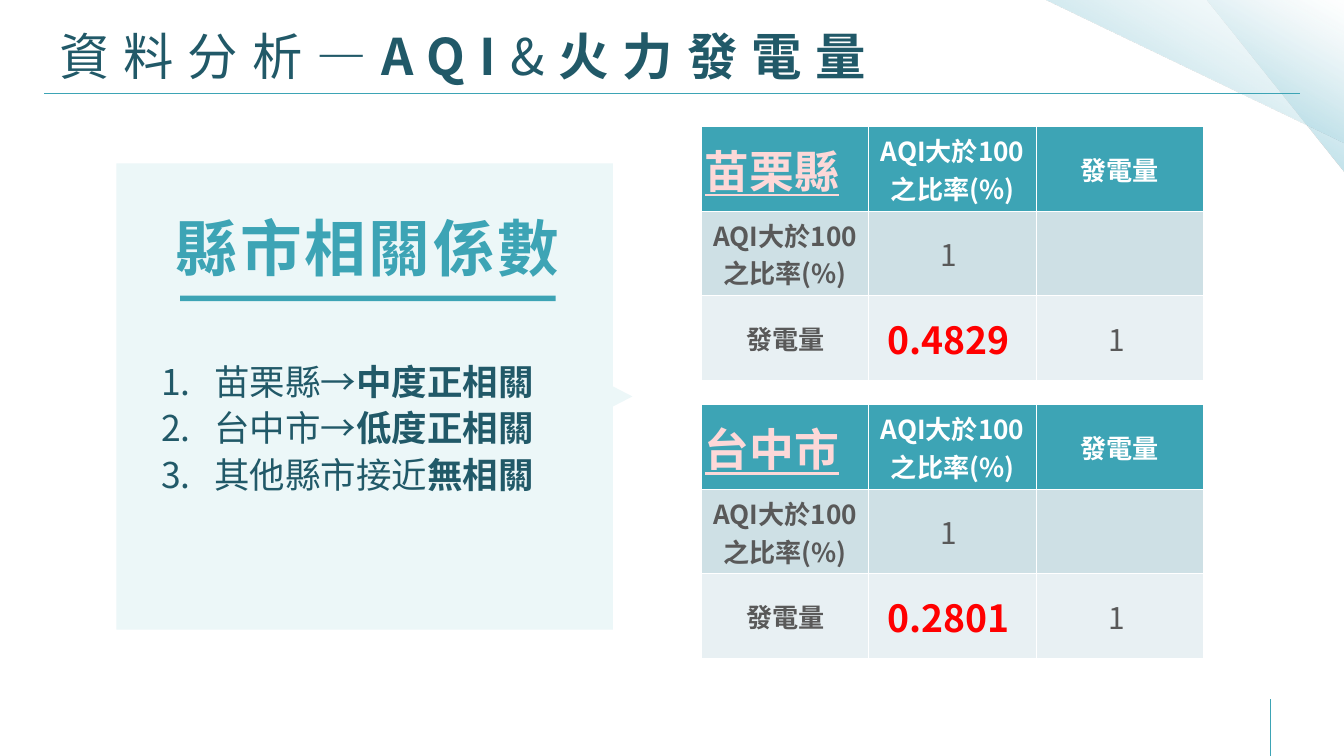
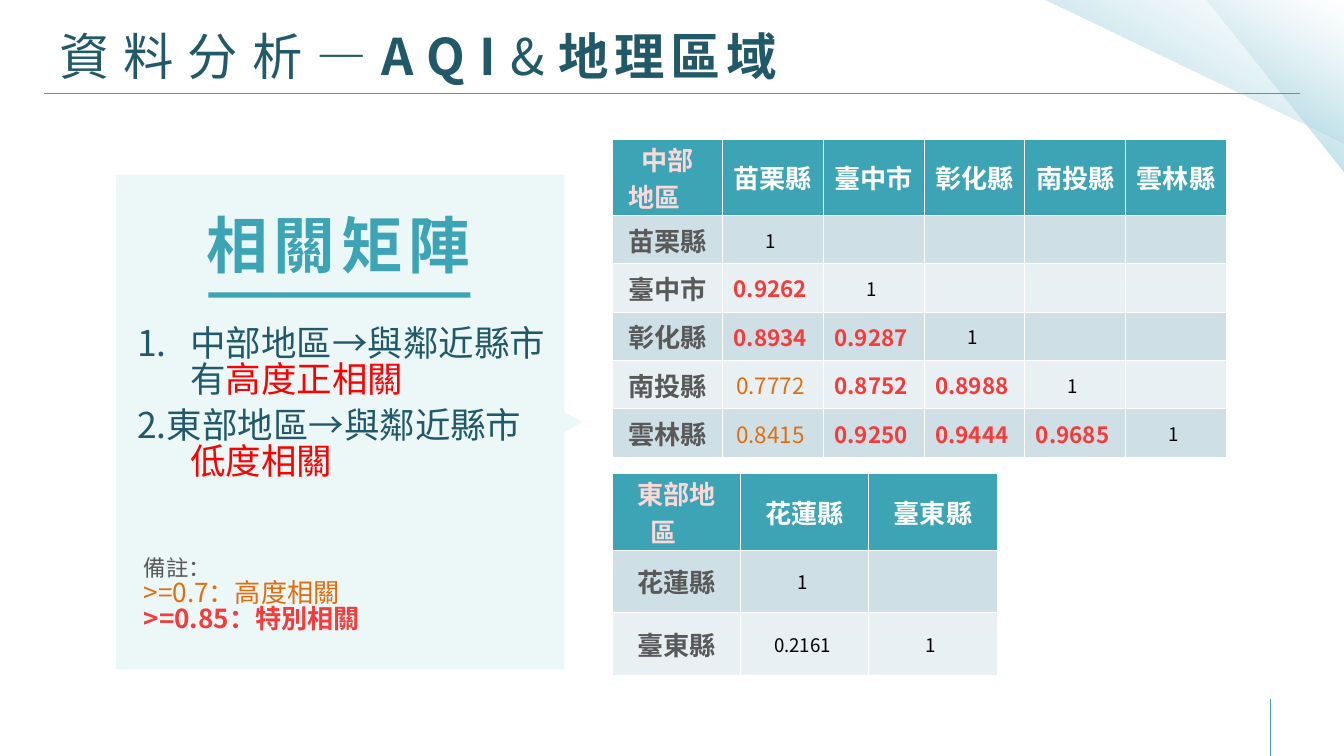
from lxml.etree import SubElement
from pptx import Presentation
from pptx.dml.color import RGBColor
from pptx.enum.shapes import MSO_CONNECTOR, MSO_SHAPE
from pptx.enum.text import MSO_ANCHOR, MSO_AUTO_SIZE, PP_ALIGN
from pptx.oxml import parse_xml
from pptx.oxml.ns import nsdecls, qn
from pptx.util import Inches, Pt

FONT = "Noto Sans CJK SC"
TEAL, NAVY, GREY, PINK = "3DA4B5", "215968", "595959", "FDD8D8"
RED, CORAL, ORANGE, BLACK, WHITE = "FF0000", "F73B3B", "E46C0A", "000000", "FFFFFF"
BANDS = ["E8F0F3", "CEE0E5"]
BOLD = {"bold": True}


def paint(fmt, color, alpha=None):
    """Give a fill, or the fill of a line or font, one solid colour."""
    fmt.solid()
    fmt.fore_color.rgb = RGBColor.from_string(color)
    if alpha is not None:
        clr = fmt._xPr.find(qn("a:solidFill"))[0]
        SubElement(clr, qn("a:alpha")).set("val", str(alpha * 1000))


def write(p, runs, **base):
    """Add (text, format) runs to a paragraph; base holds the shared format."""
    for text, own in runs:
        fmt = {"bold": False, "name": FONT, **base, **own}
        r = p.add_run()
        r.text = text
        paint(r.font.fill, fmt.pop("color"))
        rPr = r._r.get_or_add_rPr()
        SubElement(rPr, qn("a:ea")).set("typeface", FONT)
        rPr.set("spc", str(fmt.pop("spc", 0) * 100))
        fmt["size"] = Pt(fmt["size"])
        for name, value in fmt.items():
            setattr(r.font, name, value)
        # the Latin typeface must come before the East Asian one
        rPr.append(rPr.find(qn("a:ea")))


AQI = "AQI大於100之比率(%)"
COUNTY_STYLES = [
    (1, {"size": 32, "color": GREY}),
    (0, {"size": 40, "color": RED, "bold": True}),
]
REGION_STYLES = [
    (1, {"size": 20, "color": BLACK}),
    (0.85, {"size": 24, "color": CORAL, "bold": True}),
    (0.7, {"size": 24, "color": ORANGE}),
    (0, {"size": 20, "color": BLACK}),
]
CENTRAL = ["苗栗縣", "臺中市", "彰化縣", "南投縣", "雲林縣"]

county_tables = [
    {
        "at": (10.44, top),
        "cols": [2.49] * 3,
        "rows": [1.26] * 3,
        "corner": [[(county, {"size": 48, "underline": True}), ("　", {})]],
        "labels": [AQI, "發電量"],
        "values": ["1", f"{value} 1"],
        "styles": COUNTY_STYLES,
    }
    for county, top, value in [("苗栗縣", 1.88, "0.4829"), ("台中市", 6.02, "0.2801")]
]
region_tables = [
    {
        "at": (9.11, 2.07),
        "cols": [1.64] + [1.5] * 5,
        "rows": [1.02] + [0.72] * 5,
        "corner": [[("中部", {})], [("地區　", {})]],
        "labels": CENTRAL,
        "values": [
            "1",
            "0.9262 1",
            "0.8934 0.9287 1",
            "0.7772 0.8752 0.8988 1",
            "0.8415 0.9250 0.9444 0.9685 1",
        ],
        "styles": REGION_STYLES,
    },
    {
        "at": (9.11, 7.05),
        "cols": [1.91] * 3,
        "rows": [0.93] * 3,
        "corner": [[("東部地區　", {})]],
        "labels": ["花蓮縣", "臺東縣"],
        "values": ["1", "0.2161 1"],
        "styles": REGION_STYLES,
    },
]

# list items: (number or None, left margin, runs)
pages = [
    {
        "title": [("火力發電量", BOLD)],
        "tables": county_tables,
        "card": (1.73, 2.43, 9.12, 9.37, 9.41),
        "list_at": (2.3, 5.41, 5.82, 2.36),
        "list": [
            (1, 0.79, [("苗栗縣→", {}), ("中度正相關", BOLD)]),
            (1, 0.79, [("台中市→", {}), ("低度正相關", BOLD)]),
            (1, 0.79, [("其他縣市接近", {}), ("無相關", BOLD)]),
        ],
        "heading": ("縣市相關係數", 3, (1.73, 3.26, 6.8, 1.21)),
        "underline": (2.68, 4.4, 5.59, 0.08),
        "notes": [],
    },
    {
        "title": [("地理區域", {"bold": True, "spc": 6})],
        "tables": region_tables,
        "card": (1.73, 2.6, 8.4, 9.96, 8.66),
        "list_at": (1.94, 4.84, 6.35, 2.83),
        "list": [
            (1, 0.79, [("中部地區→與鄰近縣市", {})]),
            (None, 0.79, [("有", {}), ("高度正相關", {"color": RED})]),
            (2, 0, [("東部地區→與鄰近縣市", {})]),
            (None, 0.79, [("低度相關", {"color": RED})]),
        ],
        "heading": ("相關矩陣", 6, (2.19, 3.21, 5.36, 1.21)),
        "underline": (3.1, 4.35, 3.9, 0.08),
        "notes": [
            ("備註：", {"size": 24, "color": GREY}),
            (">=0.7：高度相關", {"size": 28, "color": ORANGE}),
            (">=0.85：特別相關", {"size": 28, "color": CORAL, "bold": True}),
        ],
    },
]

prs = Presentation()
prs.slide_width, prs.slide_height = Inches(20), Inches(11.25)
layout = prs.slide_layouts[1]
for ph in list(layout.placeholders)[2:]:
    ph.element.getparent().remove(ph.element)
slides = [prs.slides.add_slide(layout) for _ in pages]

# Shared decoration: made on the first slide, then moved to the layout
decoration = []
for box in [(17.96, 0, 2.04, 2.57), (15.54, 0, 4.48, 2.13)]:
    sp = slides[0].shapes.add_shape(MSO_SHAPE.RIGHT_TRIANGLE, *map(Inches, box))
    sp.rotation = 180
    sp.shadow.inherit = False
    sp.line.fill.background()
    stops = "".join(
        f'<a:gs pos="{pos}000"><a:srgbClr val="{color}"><a:alpha val="{alpha}000"/></a:srgbClr></a:gs>'
        for pos, color, alpha in [(0, "97D1E0", 100), (50, "AAD7E2", 44), (100, "E0F0F4", 0)]
    )
    sp.element.spPr.find(qn("a:prstGeom")).addnext(parse_xml(
        f'<a:gradFill {nsdecls("a")} rotWithShape="1"><a:gsLst>{stops}</a:gsLst>'
        '<a:lin ang="7200000" scaled="0"/></a:gradFill>'
    ))
    decoration.append(sp)
for ends in [(0.66, 1.39, 19.34, 1.39), (18.91, 11.25, 18.91, 10.4)]:
    line = slides[0].shapes.add_connector(MSO_CONNECTOR.STRAIGHT, *map(Inches, ends))
    paint(line.line.fill, TEAL)
    line.line.width = Pt(1)
    SubElement(line.element.spPr, qn("a:effectLst"))
    decoration.append(line)
for sp in decoration:
    layout.shapes.element.append(sp.element)

for s, page in zip(slides, pages):
    title, body = s.placeholders
    title.left, title.top, title.width, title.height = map(Inches, (0.7, 0.21, 18.31, 1.23))
    tf = title.text_frame
    tf.auto_size = MSO_AUTO_SIZE.NONE
    tf.vertical_anchor = MSO_ANCHOR.MIDDLE
    tf.margin_left = tf.margin_right = Inches(0.18)
    tf.margin_top = tf.margin_bottom = Inches(0.09)
    p = tf.paragraphs[0]
    p.alignment = PP_ALIGN.LEFT
    write(p, [("資料分析—", {}), ("AQI", BOLD), ("&", {}), *page["title"]],
          size=54, color=NAVY, spc=15)

    for spec in page["tables"]:
        cols, rows, labels = spec["cols"], spec["rows"], spec["labels"]
        frame = s.shapes.add_table(
            len(rows), len(cols), *map(Inches, (*spec["at"], sum(cols), sum(rows))))
        table = frame.table
        for column, width in zip(table.columns, cols):
            column.width = Inches(width)
        for row, height in zip(table.rows, rows):
            row.height = Inches(height)
        for i, row in enumerate(table.rows):
            values = spec["values"][i - 1].split() if i else []
            for j, cell in enumerate(row.cells):
                paint(cell.fill, BANDS[i % 2] if i else TEAL)
                cell.vertical_anchor = MSO_ANCHOR.MIDDLE
                cell.margin_left = cell.margin_top = cell.margin_right = Inches(0.01)
                cell.margin_bottom = 0
                fmt = {"size": 28, "bold": True, "color": GREY if i else WHITE}
                if i == j == 0:
                    paragraphs, fmt["color"] = spec["corner"], PINK
                elif i == 0 or j == 0:
                    paragraphs = [[(labels[max(i, j) - 1], {})]]
                elif j <= len(values):
                    value = values[j - 1]
                    fmt = next(f for low, f in spec["styles"] if float(value) >= low)
                    paragraphs = [[(f"{value} ", {})]]
                else:
                    continue
                for n, runs in enumerate(paragraphs):
                    tf = cell.text_frame
                    p = tf.add_paragraph() if n else tf.paragraphs[0]
                    p.alignment = PP_ALIGN.CENTER
                    write(p, runs, **fmt)

    # Pale card with a small pointer on its right side
    left, top, right, bottom, tip = map(Inches, page["card"])
    middle, half = (top + bottom) // 2, Inches(0.15)
    pen = s.shapes.build_freeform(left, top)
    pen.add_line_segments([(right, top), (right, bottom), (left, bottom)])
    pen.move_to(right, middle - half)
    pen.add_line_segments([(tip, middle), (right, middle + half)])
    card = pen.convert_to_shape()
    card.shadow.inherit = False
    card.line.fill.background()
    paint(card.fill, "D7EEF1", 45)

    s.shapes.element.append(body.element)
    body.left, body.top, body.width, body.height = map(Inches, page["list_at"])
    tf = body.text_frame
    tf.auto_size = MSO_AUTO_SIZE.NONE
    for n, (number, margin, runs) in enumerate(page["list"]):
        p = tf.add_paragraph() if n else tf.paragraphs[0]
        p.line_spacing = 0.83
        p.space_before = Pt(12 if number else 0)
        pPr = p._p.get_or_add_pPr()
        pPr.set("marL", str(Inches(margin)))
        pPr.set("indent", str(Inches(-0.81 if number else 0)))
        if number:
            bullet = SubElement(pPr, qn("a:buAutoNum"))
            bullet.set("type", "arabicPeriod")
            if number > 1:
                bullet.set("startAt", str(number))
        else:
            SubElement(pPr, qn("a:buNone"))
        write(p, runs, size=38, color=NAVY)

    text, spacing, box = page["heading"]
    tf = s.shapes.add_textbox(*map(Inches, box)).text_frame
    tf.word_wrap = True
    p = tf.paragraphs[0]
    p.line_spacing = 0.83
    p._p.get_or_add_pPr().set("marL", str(Inches(0.79)))
    write(p, [(text, BOLD)], size=66, color=TEAL, spc=spacing)

    bar = s.shapes.add_shape(MSO_SHAPE.RECTANGLE, *map(Inches, page["underline"]))
    bar.shadow.inherit = False
    bar.line.fill.background()
    paint(bar.fill, TEAL)

    if page["notes"]:
        tf = s.shapes.add_textbox(*map(Inches, (2.04, 8.27, 3.69, 1.45))).text_frame
        tf.word_wrap = True
        for n, run in enumerate(page["notes"]):
            p = tf.add_paragraph() if n else tf.paragraphs[0]
            p.line_spacing = 0.83
            p.space_before = Pt(0 if n else 6)
            write(p, [run])

prs.save("out.pptx")
